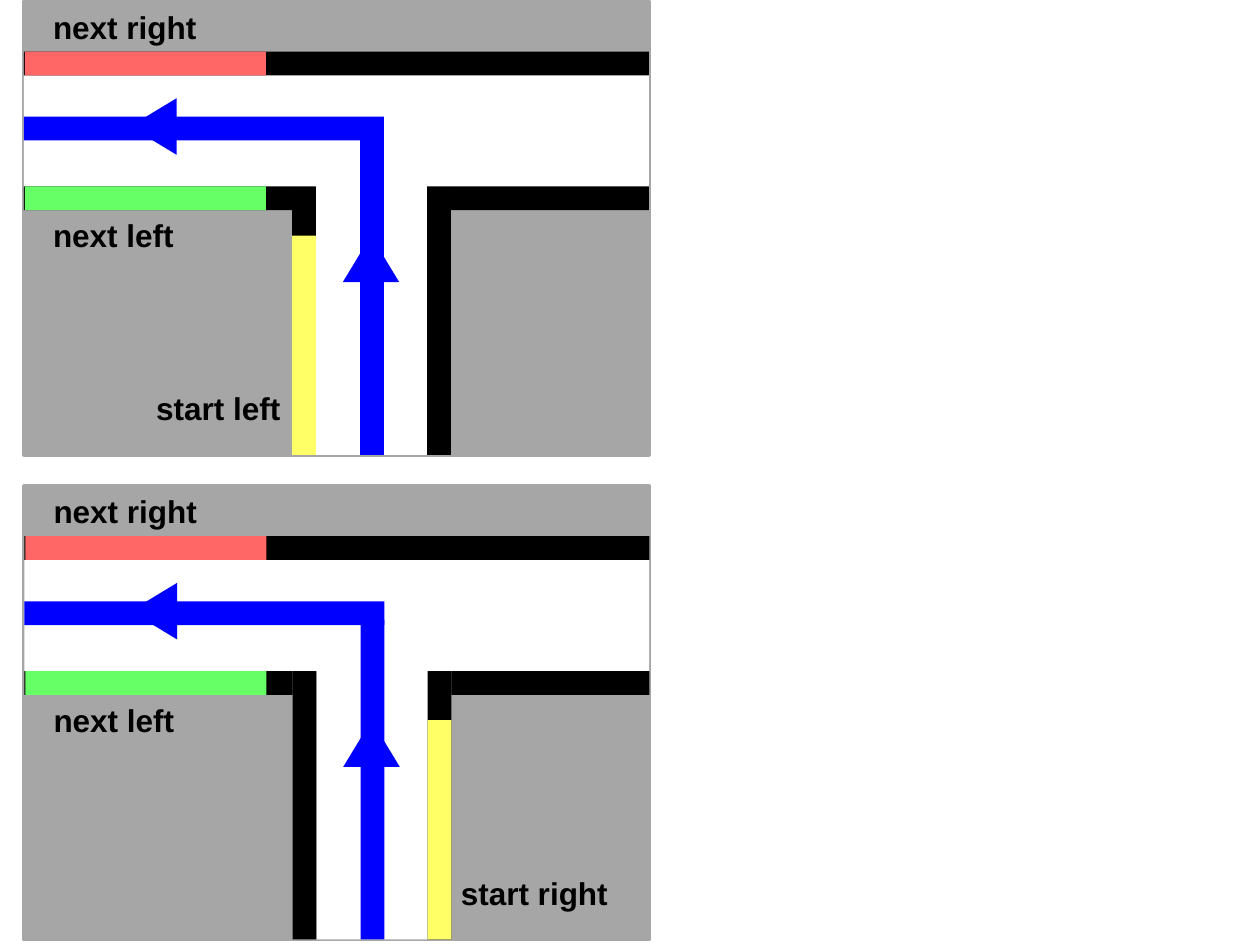
import pptx
import pptx.util
import pptx.dml.color
import pptx.enum.shapes
import pptx.enum.text

Cm = pptx.util.Cm
RGB = pptx.dml.color.RGBColor
KIND = pptx.enum.shapes.MSO_SHAPE

GRAY = RGB(0xA6, 0xA6, 0xA6)
WHITE = RGB(0xFF, 0xFF, 0xFF)
BLACK = RGB(0x00, 0x00, 0x00)
BLUE = RGB(0x00, 0x00, 0xFF)
YELLOW = RGB(0xFF, 0xFF, 0x66)
GREEN = RGB(0x66, 0xFF, 0x66)
RED = RGB(0xFF, 0x66, 0x66)

FONT = {"name": "Arial", "size": pptx.util.Pt(18), "bold": True}
WIDE, HIGH = 12.6, 9.14   # size of a scene
THICK = 0.48              # walls and path
ROAD = 2.26
LEFT, RIGHT = 5.41, 8.13  # walls of the side street
TOP, LOW = 1.01, 3.73     # walls of the main street
MARK = 4.72               # start of the yellow wall


def add_block(slide, start, box, color, turn=0, kind=KIND.RECTANGLE):
    """Fill the box as seen on the slide; a quarter turn swaps its sides."""
    x, y, w, h = box
    if turn:
        x, y, w, h = x + (w - h) / 2, y + (h - w) / 2, h, w
    shape = slide.shapes.add_shape(
        kind, Cm(start[0] + x), Cm(start[1] + y), Cm(w), Cm(h))
    shape.rotation = turn
    shape.shadow.inherit = False
    shape.fill.solid()
    shape.fill.fore_color.rgb = color
    shape.line.fill.background()
    return shape


def add_label(slide, start, text, x, y, w):
    box = slide.shapes.add_textbox(
        Cm(start[0] + x), Cm(start[1] + y), Cm(w), Cm(1.02))
    frame = box.text_frame
    frame.word_wrap = False
    frame.auto_size = pptx.enum.text.MSO_AUTO_SIZE.SHAPE_TO_FIT_TEXT
    frame.text = text
    font = frame.paragraphs[0].font
    for key, value in FONT.items():
        setattr(font, key, value)
    font.color.rgb = BLACK


def add_streets(slide, start):
    ground = add_block(slide, start, (0, 0, WIDE, HIGH), GRAY)
    ground.line.color.rgb = GRAY
    ground.line.width = pptx.util.Pt(2)
    add_block(slide, start, (LEFT + THICK, 1.48, ROAD, HIGH - 1.48), WHITE)
    add_block(slide, start, (0, 1.48, WIDE, ROAD), WHITE, 270)


def add_path(slide, start):
    add_block(slide, start, (6.78, 2.69, THICK, HIGH - 2.69), BLUE)
    add_block(slide, start, (0, 2.32, 7.26, THICK), BLUE, 270)
    tip = KIND.ISOSCELES_TRIANGLE
    add_block(slide, start, (2.14, 1.95, 0.94, 1.14), BLUE, 270, tip)
    add_block(slide, start, (6.43, 4.72, 1.14, 0.94), BLUE, 0, tip)


def add_walls(slide, start, side):
    """Draw the walls; side is the place of the yellow starting wall."""
    edge = RIGHT + THICK
    for x in (RIGHT, LEFT):
        add_block(slide, start, (x, LOW, THICK, HIGH - LOW), BLACK)
    for x, y, w in ((0, LOW, LEFT), (0, TOP, WIDE), (edge, LOW, WIDE - edge)):
        add_block(slide, start, (x, y, w, THICK), BLACK, 90)
    add_block(slide, start, (side, MARK, THICK, HIGH - MARK), YELLOW)
    for y, color in ((LOW, GREEN), (TOP, RED)):
        add_block(slide, start, (0.02, y, 4.86, THICK), color, 90)


def add_scene(slide, start, side, label):
    add_streets(slide, start)
    add_path(slide, start)
    add_walls(slide, start, side)
    add_label(slide, start, *label)
    add_label(slide, start, "next left", 0.34, 4.21, 3)
    add_label(slide, start, "next right", 0.34, 0, 3.48)


def main():
    deck = pptx.Presentation()
    deck.slide_width, deck.slide_height = Cm(25.4), Cm(19.05)
    slide = deck.slides.add_slide(deck.slide_layouts[6])
    add_scene(slide, (0.48, 0.03), LEFT, ("start left", 2.42, 7.69, 3.07))
    add_scene(slide, (0.49, 9.8), RIGHT, ("start right", 8.55, 7.69, 3.53))
    deck.save("out.pptx")


if __name__ == "__main__":
    main()
